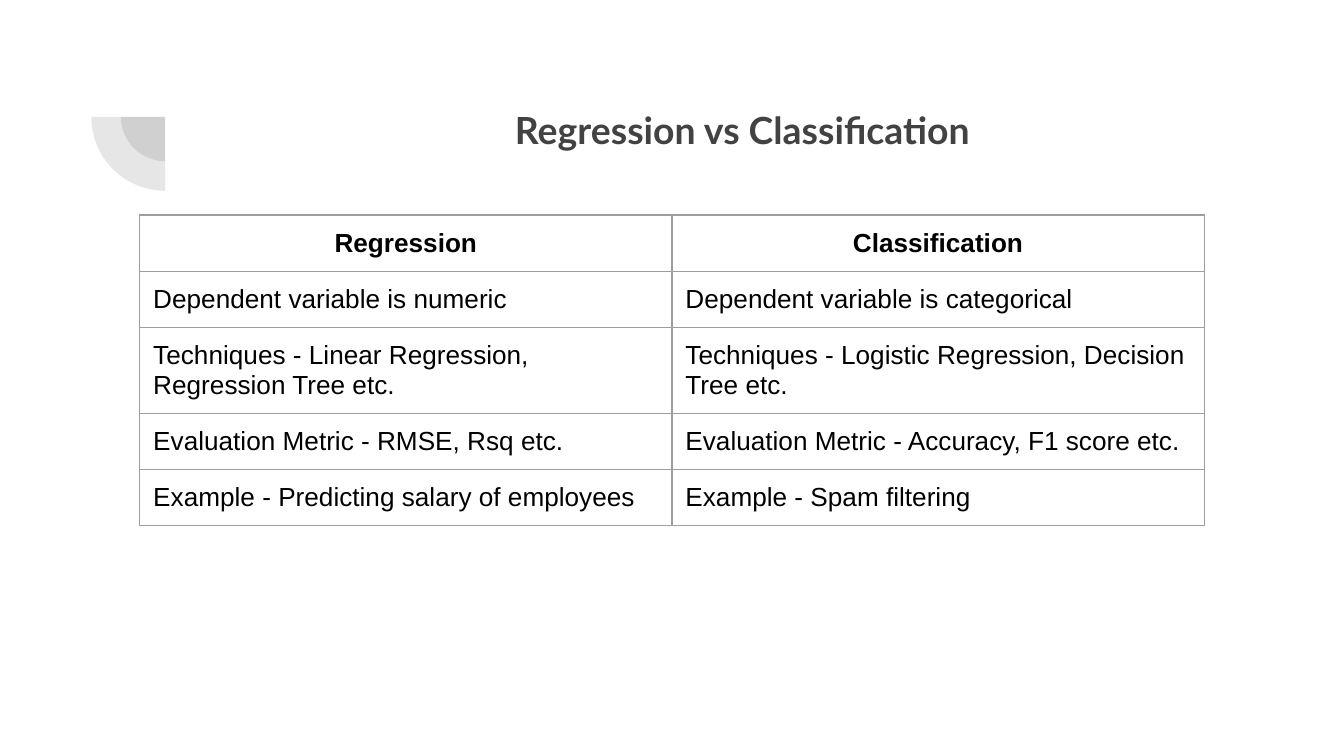
from dataclasses import dataclass

from lxml import etree
from pptx import Presentation
from pptx import util as u
from pptx.dml.color import RGBColor
from pptx.enum import shapes, text
from pptx.oxml.ns import qn


@dataclass(frozen=True)
class Theme:
    dark: RGBColor = RGBColor(0x42, 0x42, 0x42)
    ink: RGBColor = RGBColor(0, 0, 0)
    border: str = "9E9E9E"
    border_width: float = 0.75
    heading_font: str = "Lato"
    body_font: str = "Arial"
    heading_size: int = 20
    body_size: int = 14
    ornament_alpha: int = 13


@dataclass(frozen=True)
class Box:
    left: float
    top: float
    width: float
    height: float

    def lengths(self):
        return [u.Inches(v) for v in (self.left, self.top, self.width, self.height)]


THEME = Theme()
ROWS = [
    ("Regression", "Classification"),
    ("Dependent variable is numeric", "Dependent variable is categorical"),
    ("Techniques - Linear Regression, Regression Tree etc.",
     "Techniques - Logistic Regression, Decision Tree etc."),
    ("Evaluation Metric - RMSE, Rsq etc.", "Evaluation Metric - Accuracy, F1 score etc."),
    ("Example - Predicting salary of employees", "Example - Spam filtering"),
]


def add_span(para, words, font, size, color, bold):
    span = para.add_run()
    span.text = words
    span.font.name = font
    span.font.size = u.Pt(size)
    span.font.color.rgb = color
    span.font.bold = bold


def set_margins(holder):
    for side in ("left", "top", "right", "bottom"):
        setattr(holder, f"margin_{side}", u.Inches(0.1))


def add_ornament(page, box):
    """Two translucent lower-left quarter discs sharing the box's top right corner."""
    for scale in (0.6, 1):
        radius = box.width * scale
        disc = Box(box.left + box.width - radius, box.top - radius, 2 * radius, 2 * radius)
        quarter = page.shapes.add_shape(shapes.MSO_SHAPE.PIE, *disc.lengths())
        # Angles run from 90 to 180 degrees, 0.6 units per degree
        quarter.adjustments[0], quarter.adjustments[1] = 90 * 0.6, 180 * 0.6
        quarter.shadow.inherit = False
        quarter.line.fill.background()
        quarter.fill.solid()
        quarter.fill.fore_color.rgb = THEME.dark
        color = quarter.fill._xPr.find(f".//{qn('a:srgbClr')}")
        etree.SubElement(color, qn("a:alpha"), val=str(THEME.ornament_alpha * 1000))


def add_title(page, box, words):
    title = page.shapes.title
    title.left, title.top, title.width, title.height = box.lengths()
    frame = title.text_frame
    set_margins(frame)
    frame.word_wrap = True
    frame.auto_size = text.MSO_AUTO_SIZE.NONE
    frame.vertical_anchor = text.MSO_ANCHOR.TOP
    para = frame.paragraphs[0]
    para.alignment = text.PP_ALIGN.CENTER
    para.line_spacing = 1.15
    para.space_before = u.Pt(0)
    para.space_after = u.Pt(16)
    properties = para._p.get_or_add_pPr()
    properties.set("marL", str(u.Inches(0.5)))
    properties.set("indent", "0")
    add_span(para, words, THEME.heading_font, THEME.heading_size, THEME.dark, True)


def add_borders(cell):
    properties = cell._tc.get_or_add_tcPr()
    for side in ("lnL", "lnR", "lnT", "lnB"):
        line = etree.SubElement(properties, qn(f"a:{side}"), w=str(u.Pt(THEME.border_width)))
        fill = etree.SubElement(line, qn("a:solidFill"))
        etree.SubElement(fill, qn("a:srgbClr"), val=THEME.border)


def add_comparison(page, box):
    table = page.shapes.add_table(len(ROWS), len(ROWS[0]), *box.lengths()).table
    table.first_row = table.horz_banding = False
    for column in table.columns:
        column.width = u.Inches(box.width / len(ROWS[0]))
    for r, row in enumerate(ROWS):
        # The row with two lines of text grows by itself
        table.rows[r].height = u.Inches(box.height / len(ROWS))
        for c, words in enumerate(row):
            cell = table.cell(r, c)
            set_margins(cell)
            add_borders(cell)
            cell.fill.background()
            para = cell.text_frame.paragraphs[0]
            header = r == 0
            para.alignment = text.PP_ALIGN.CENTER if header else text.PP_ALIGN.LEFT
            add_span(para, words, THEME.body_font, THEME.body_size, THEME.ink, header)


def main():
    deck = Presentation()
    # Widescreen, 16 to 9
    deck.slide_width = u.Inches(10)
    deck.slide_height = deck.slide_width * 9 // 16
    page = deck.slides.add_slide(deck.slide_layouts[5])
    add_ornament(page, Box(0.68, 0.87, 0.55, 0.55))
    add_title(page, Box(1.43, 0.65, 7.69, 1.09), "Regression vs Classification")
    add_comparison(page, Box(1.04, 1.6, 7.92, 2.08))
    deck.save("out.pptx")


if __name__ == "__main__":
    main()
